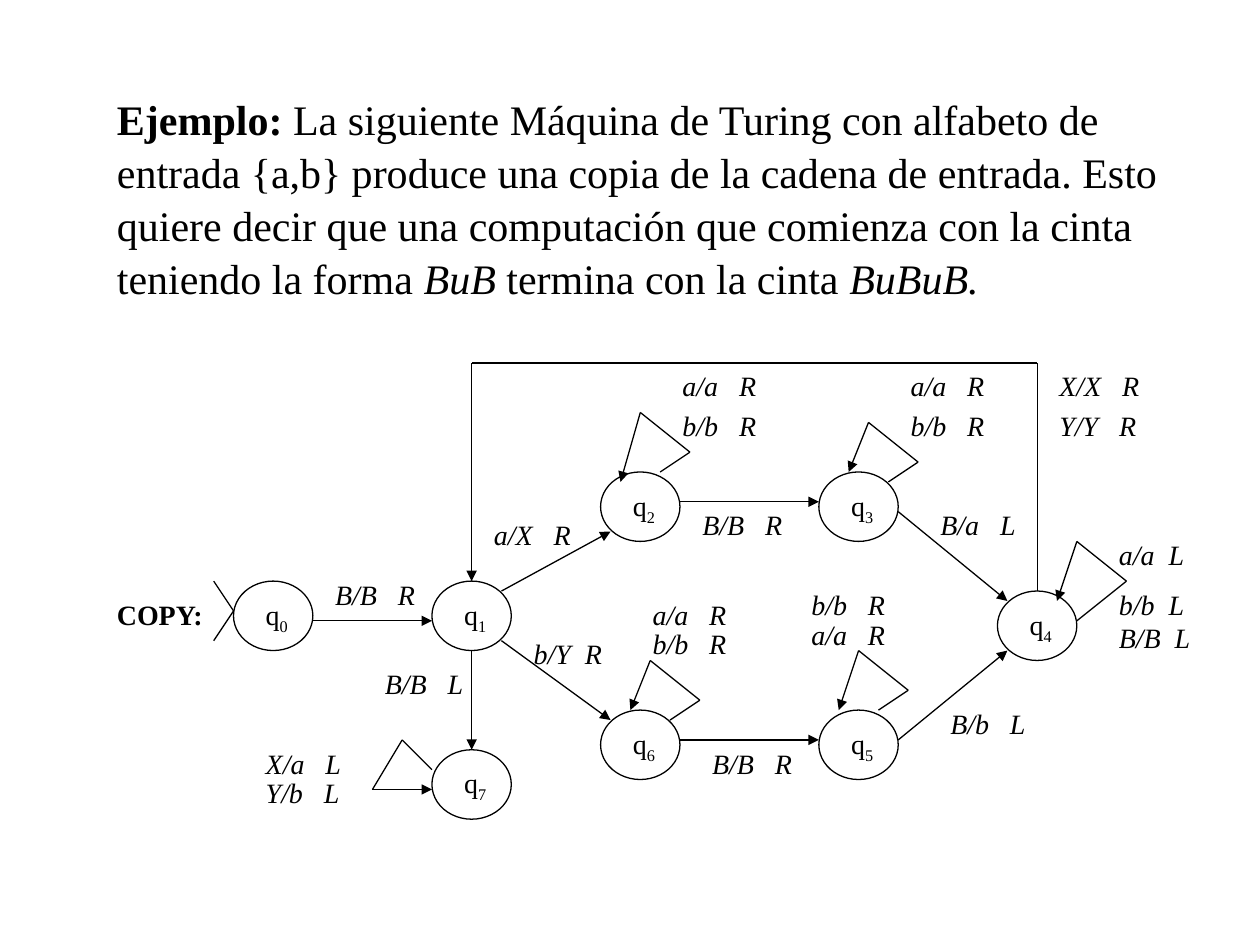
from dataclasses import dataclass
from pptx import Presentation
from pptx.dml.color import RGBColor
from pptx.enum.shapes import MSO_CONNECTOR, MSO_SHAPE
from pptx.oxml.ns import qn
from pptx.util import Inches, Pt
from lxml import etree

OVAL = MSO_SHAPE.OVAL
LINE = MSO_CONNECTOR.STRAIGHT


@dataclass
class Theme:
    ink: RGBColor = RGBColor(0, 0, 0)
    font: str = "Times New Roman"
    head: int = 24
    body: int = 16
    rule: float = 0.75
    lead: float = 1.05


class Board:
    """Draws on a grid of 127 columns across the slide, square cells."""
    unit = 10 / 127
    left, top = 0.83, 2.88  # where column 0 and row 0 lie

    def __init__(self, slide, theme):
        self.slide, self.theme = slide, theme

    def size(self, cells):
        return Inches(cells * self.unit)

    def spot(self, col, row):
        return Inches(self.left) + self.size(col), Inches(self.top) + self.size(row)

    def text(self, col, row, wide, high, lines, size):
        """Each line is a list of (words, style); style holds b, i or s (subscript)."""
        box = self.slide.shapes.add_textbox(
            *self.spot(col, row), self.size(wide), self.size(high))
        frame = box.text_frame
        frame.word_wrap = True
        for n, parts in enumerate(lines):
            para = frame.add_paragraph() if n else frame.paragraphs[0]
            for words, style in parts:
                run = para.add_run()
                run.text = words
                font = run.font
                font.name, font.size = self.theme.font, Pt(size)
                font.color.rgb = self.theme.ink
                font.bold, font.italic = "b" in style, "i" in style
                if "s" in style:
                    run._r.get_or_add_rPr().set("baseline", "-25000")
        return frame

    def title(self, parts):
        frame = self.text(0, -28, 110, 26.7, [parts], self.theme.head)
        frame.paragraphs[0].line_spacing = self.theme.lead

    def label(self, col, row, *lines, style="i", wide=11):
        rows = [[(line, style)] for line in lines]
        self.text(col, row, wide, 1.3 + 3.4 * len(lines), rows, self.theme.body)

    def state(self, col, row, index):
        oval = self.slide.shapes.add_shape(
            OVAL, *self.spot(col, row), self.size(8), self.size(7))
        oval.shadow.inherit = False
        oval.fill.background()
        oval.line.color.rgb = self.theme.ink
        oval.line.width = Pt(self.theme.rule)
        self.text(col + 2, row + 1, 5, 5.2,
                  [[("q", ""), (str(index), "s")]], self.theme.body)

    def trace(self, *points, arrow=True):
        """Straight lines from point to point, the last with an arrowhead."""
        for start, end in zip(points, points[1:]):
            line = self.slide.shapes.add_connector(
                LINE, *self.spot(*start), *self.spot(*end))
            line.line.color.rgb = self.theme.ink
            line.line.width = Pt(self.theme.rule)
            props = line._element.spPr
            etree.SubElement(props, qn("a:effectLst"))
            if arrow and end == points[-1]:
                tail = etree.SubElement(props.find(qn("a:ln")), qn("a:tailEnd"))
                tail.set("type", "triangle")


def main():
    deck = Presentation()
    deck.slide_width, deck.slide_height = Inches(10), Inches(7.5)
    board = Board(deck.slides.add_slide(deck.slide_layouts[6]), Theme())

    # Statement
    board.title([
        ("Ejemplo:", "b"),
        (" La siguiente Máquina de Turing con alfabeto de entrada {a,b} produce "
         "una copia de la cadena de entrada. Esto quiere decir que una computación "
         "que comienza con la cinta teniendo la forma ", ""),
        ("BuB", "i"), (" termina con la cinta ", ""), ("BuBuB.", "i")])

    # States q0 to q7
    states = [(13, 22), (33, 22), (50, 11), (72, 11),
              (90, 23), (72, 35), (50, 35), (33, 39)]
    for index, (col, row) in enumerate(states):
        board.state(col, row, index)

    # Start mark
    board.trace((11, 22), (13, 25), (11, 28), arrow=False)
    board.label(0, 23, "COPY:", style="b", wide=12)

    # Moves between states
    moves = [
        [(21, 26), (33, 26)], [(40, 23), (51, 17)], [(40, 28), (51, 36)],
        [(58, 14), (72, 14)], [(80, 15), (91, 24)], [(58, 38), (72, 38)],
        [(80, 38), (91, 29)], [(37, 29), (37, 39)],
        [(94, 23), (94, 0), (37, 0), (37, 22)],
    ]
    # Loops on q2, q3, q4, q6, q5 and q7
    loops = [
        [(56, 11), (59, 9), (54, 5), (52, 12)],
        [(79, 12), (82, 10), (77, 6), (75, 11)],
        [(98, 26), (103, 22), (98, 18), (96, 24)],
        [(57, 36), (60, 34), (55, 30), (53, 35)],
        [(78, 35), (81, 33), (76, 29), (74, 35)],
        [(33, 41), (30, 38), (27, 43), (33, 43)],
    ]
    for points in moves + loops:
        board.trace(*points)

    # Read/write labels
    labels = [
        (22, 21, "B/B   R"), (38, 15, "a/X   R"), (27, 30, "B/B   L"),
        (15, 38, "X/a   L"), (15, 41, "Y/b   L"), (42, 27, "b/Y  R"),
        (54, 23, "a/a   R"), (54, 26, "b/b   R"), (60, 38, "B/B   R"),
        (70, 22, "b/b   R"), (70, 25, "a/a   R"), (84, 34, "B/b   L"),
        (57, 0, "a/a   R"), (57, 4, "b/b   R"), (59, 14, "B/B   R"),
        (80, 0, "a/a   R"), (80, 4, "b/b   R"), (83, 14, "B/a   L"),
        (95, 0, "X/X   R"), (95, 4, "Y/Y   R"),
        (101, 17, "a/a  L"), (101, 22, "b/b  L", "B/B  L"),
    ]
    for col, row, *lines in labels:
        board.label(col, row, *lines)

    deck.save("out.pptx")


if __name__ == "__main__":
    main()
